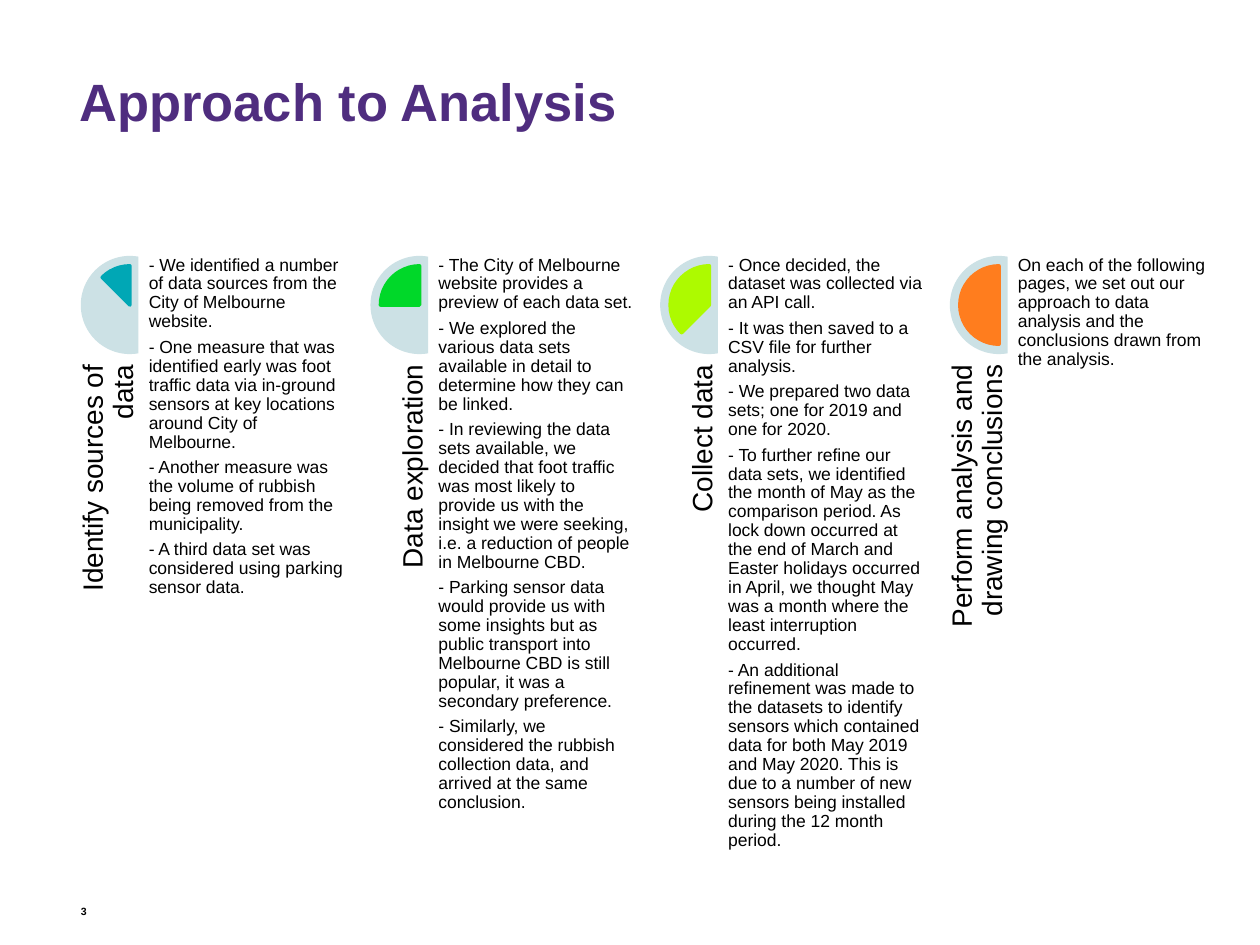
from dataclasses import dataclass

from pptx import Presentation
from pptx import util as u
from pptx.dml.color import RGBColor
from pptx.enum import shapes, text


@dataclass(frozen=True)
class Theme:
    font: str = "Arial"
    title: str = "4F2D7F"
    ink: str = "000000"
    disc: str = "CCE1E5"
    wedges: tuple = ("00A7B5", "00D829", "ADFA00", "FF7D1E")
    title_pt: int = 30
    label_pt: int = 16
    body_pt: int = 10
    number_pt: int = 6


theme = Theme()
steps = [
    ("Identify sources of data", [
        "- We identified a number of data sources from the City of Melbourne website.",
        "- One measure that was identified early was foot traffic data via in-ground "
        "sensors at key locations around City of Melbourne.",
        "- Another measure was the volume of rubbish being removed from the municipality.",
        "- A third data set was considered using parking sensor data.",
    ]),
    ("Data exploration", [
        "- The City of Melbourne website provides a preview of each data set.",
        "- We explored the various data sets available in detail to determine how they "
        "can be linked.",
        "- In reviewing the data sets available, we decided that foot traffic was most "
        "likely to provide us with the insight we were seeking, i.e. a reduction of "
        "people in Melbourne CBD.",
        "- Parking sensor data would provide us with some insights but as public "
        "transport into Melbourne CBD is still popular, it was a secondary preference.",
        "- Similarly, we considered the rubbish collection data, and arrived at the "
        "same conclusion.",
    ]),
    ("Collect data", [
        "- Once decided, the dataset was collected via an API call.",
        "- It was then saved to a CSV file for further analysis.",
        "- We prepared two data sets; one for 2019 and one for 2020.",
        "- To further refine our data sets, we identified the month of May as the "
        "comparison period. As lock down occurred at the end of March and Easter "
        "holidays occurred in April, we thought May was a month where the least "
        "interruption occurred.",
        "- An additional refinement was made to the datasets to identify sensors which "
        "contained data for both May 2019 and May 2020. This is due to a number of new "
        "sensors being installed during the 12 month period.",
    ]),
    ("Perform analysis and drawing conclusions", [
        "On each of the following pages, we set out our approach to data analysis and "
        "the conclusions drawn from the analysis.",
    ]),
]

prs = Presentation()
prs.slide_width, prs.slide_height = u.Cm(25.4), u.Cm(19.05)
s = prs.slides.add_slide(prs.slide_layouts[6])


def add_text(lines, left, top, width, height, size, color=theme.ink, bold=False,
             anchor=text.MSO_ANCHOR.TOP, align=text.PP_ALIGN.LEFT,
             spacing=1.0, after=0, rotation=0):
    sp = s.shapes.add_textbox(u.Cm(left), u.Cm(top), u.Cm(width), u.Cm(height))
    sp.rotation = rotation
    tf = sp.text_frame
    tf.word_wrap = True
    tf.vertical_anchor = anchor
    tf.margin_left = tf.margin_right = tf.margin_top = tf.margin_bottom = 0
    for i, line in enumerate(lines):
        p = tf.add_paragraph() if i else tf.paragraphs[0]
        p.alignment = align
        p.line_spacing = spacing
        p.space_after = u.Pt(after)
        r = p.add_run()
        r.text = line
        r.font.name = theme.font
        r.font.size = u.Pt(size)
        r.font.bold = bold
        r.font.color.rgb = RGBColor.from_string(color)


def add_sector(kind, left, top, size, color, start, end, line_pt=0):
    sp = s.shapes.add_shape(kind, u.Cm(left), u.Cm(top), u.Cm(size), u.Cm(size))
    sp.shadow.inherit = False
    # An adjustment unit is 100000 and a degree is 60000
    sp.adjustments[0], sp.adjustments[1] = start * 0.6, end * 0.6
    sp.fill.solid()
    sp.fill.fore_color.rgb = RGBColor.from_string(color)
    if line_pt:
        sp.line.color.rgb = RGBColor.from_string(color)
        sp.line.width = u.Pt(line_pt)
    else:
        sp.line.fill.background()


# Title and slide number
add_text(["Approach to Analysis"], 1.6, 1.4, 22.2, 2.51, theme.title_pt,
         color=theme.title, bold=True)
add_text(["3"], 1.63, 18.11, 0.51, 0.51, theme.number_pt, bold=True,
         anchor=text.MSO_ANCHOR.MIDDLE)

# Four steps, each wedge 45 degrees larger than the one before
left, top, pitch = 1.63, 5.16, 5.84
for i, ((label, body), color) in enumerate(zip(steps, theme.wedges)):
    x = left + i * pitch
    add_sector(shapes.MSO_SHAPE.CHORD, x, top, 1.98, theme.disc, 80, 280)
    add_sector(shapes.MSO_SHAPE.PIE, x + 0.2, top + 0.2, 1.58, color,
               270 - 45 * (i + 1), 270, line_pt=2)
    add_text([label], x - 2.29, 9.63, 5.74, 1.19, theme.label_pt,
             anchor=text.MSO_ANCHOR.BOTTOM, align=text.PP_ALIGN.RIGHT,
             spacing=0.9, rotation=270)
    add_text(body, x + 1.37, top, 3.96, 7.92, theme.body_pt, spacing=0.9, after=3.7)

prs.save("out.pptx")
